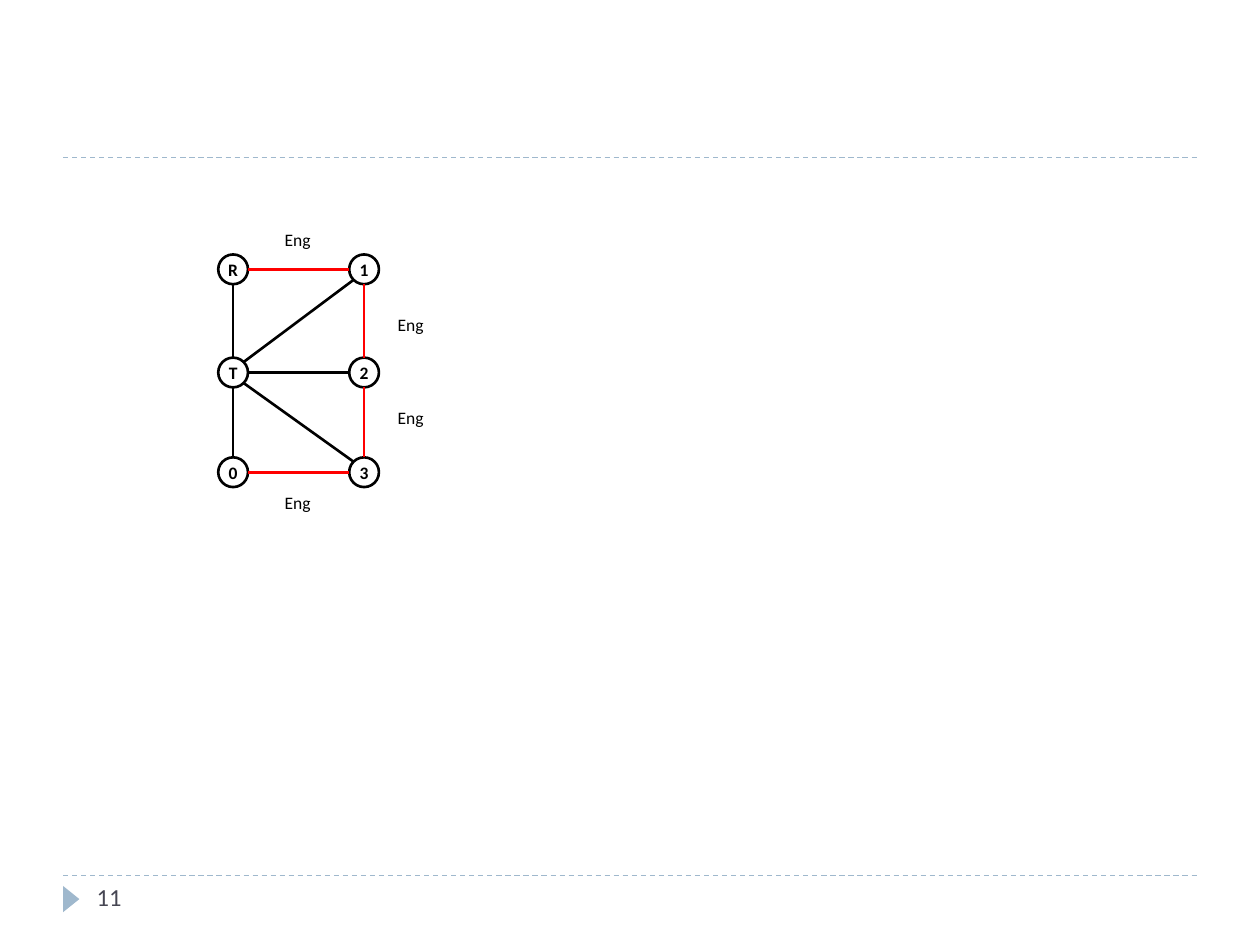
import math
from dataclasses import dataclass

import pptx
import pptx.dml.color
import pptx.enum.dml
import pptx.enum.shapes
import pptx.enum.text
import pptx.oxml.ns
import pptx.util
from lxml import etree

Cm = pptx.util.Cm
Pt = pptx.util.Pt


@dataclass(frozen=True)
class Theme:
    font: str = "Calibri"
    ink: str = "000000"
    paper: str = "FFFFFF"
    highlight: str = "FF0000"
    accent: str = "9FB8CD"
    footer: str = "464653"
    graph_size: int = 10
    footer_size: int = 14
    edge_width: float = 1.5
    rule_width: float = 0.75


def rgb(code):
    return pptx.dml.color.RGBColor.from_string(code)


class SlideBuilder:
    """Draws elements on one slide; all lengths are in centimetres."""

    def __init__(self, slide, theme):
        self.slide = slide
        self.theme = theme

    def add_words(self, frame, words, size, color, bold=False, centred=True):
        paragraph = frame.paragraphs[0]
        if centred:
            paragraph.alignment = pptx.enum.text.PP_ALIGN.CENTER
        run = paragraph.add_run()
        run.text = words
        run.font.name = self.theme.font
        run.font.size = Pt(size)
        run.font.bold = bold
        run.font.color.rgb = rgb(color)

    def line(self, start, end, color, width, dashed=False):
        connector = self.slide.shapes.add_connector(
            pptx.enum.shapes.MSO_CONNECTOR.STRAIGHT,
            *(Cm(value) for value in (*start, *end)))
        connector.line.color.rgb = rgb(color)
        connector.line.width = Pt(width)
        if dashed:
            connector.line.dash_style = pptx.enum.dml.MSO_LINE.DASH
        etree.SubElement(connector._element.spPr, pptx.oxml.ns.qn("a:effectLst"))

    def shape(self, kind, left, top, width, height, fill):
        shape = self.slide.shapes.add_shape(
            kind, Cm(left), Cm(top), Cm(width), Cm(height))
        shape.shadow.inherit = False
        shape.fill.solid()
        shape.fill.fore_color.rgb = rgb(fill)
        return shape

    def marker(self, left, top, width, height):
        triangle = self.shape(pptx.enum.shapes.MSO_SHAPE.ISOSCELES_TRIANGLE,
                              left, top, width, height, self.theme.accent)
        triangle.rotation = 90
        triangle.line.fill.background()

    def node(self, name, centre, radius):
        x, y = centre
        circle = self.shape(pptx.enum.shapes.MSO_SHAPE.OVAL, x - radius, y - radius,
                            2 * radius, 2 * radius, self.theme.paper)
        circle.line.color.rgb = rgb(self.theme.ink)
        circle.line.width = Pt(self.theme.edge_width)
        frame = circle.text_frame
        frame.margin_left = frame.margin_right = 0
        frame.margin_top = frame.margin_bottom = 0
        frame.vertical_anchor = pptx.enum.text.MSO_ANCHOR.MIDDLE
        self.add_words(frame, name, self.theme.graph_size, self.theme.ink, bold=True)

    def edge(self, start, end, radius, color):
        """Joins two circles at the nearest of their eight rim points."""
        dx, dy = ((b > a) - (b < a) for a, b in zip(start, end))
        reach = radius / math.hypot(dx, dy)
        self.line((start[0] + dx * reach, start[1] + dy * reach),
                  (end[0] - dx * reach, end[1] - dy * reach),
                  color, self.theme.edge_width)

    def text(self, words, left, top, width, height, size, color, centred=True):
        box = self.slide.shapes.add_textbox(Cm(left), Cm(top), Cm(width), Cm(height))
        box.text_frame.word_wrap = True
        self.add_words(box.text_frame, words, size, color, centred=centred)


def main():
    theme = Theme()
    deck = pptx.Presentation()
    deck.slide_width, deck.slide_height = Cm(25.4), Cm(19.05)
    # The slide shows no title, so the blank layout is used
    builder = SlideBuilder(deck.slides.add_slide(deck.slide_layouts[6]), theme)

    # Page frame and slide number
    for rule_y in (17.65, 3.17):
        builder.line((1.27, rule_y), (24.13, rule_y), theme.accent,
                     theme.rule_width, dashed=True)
    builder.marker(1.17, 17.96, 0.53, 0.33)
    builder.text("11", 1.7, 17.65, 5.5, 1.02, theme.footer_size, theme.footer,
                 centred=False)

    # Graph nodes in two columns and three rows
    radius = 0.3
    columns = {4.7: "RT0", 7.34: "123"}
    rows = (5.43, 7.51, 9.52)
    nodes = {name: (x, y) for x, names in columns.items()
             for name, y in zip(names, rows)}
    for name, centre in nodes.items():
        builder.node(name, centre, radius)

    # Plain edges from the hub T, then the highlighted path
    edges = {theme.ink: ("T0", "TR", "T3", "T2", "T1"),
             theme.highlight: ("03", "32", "21", "1R")}
    for color, pairs in edges.items():
        for start, end in pairs:
            builder.edge(nodes[start], nodes[end], radius, color)

    # Labels of the highlighted edges
    for left, top in ((5.11, 4.5), (7.39, 6.2), (7.39, 8.08), (5.11, 9.8)):
        builder.text("Eng", left, top, 1.78, 0.68, theme.graph_size, theme.ink)

    deck.save("out.pptx")


if __name__ == "__main__":
    main()
